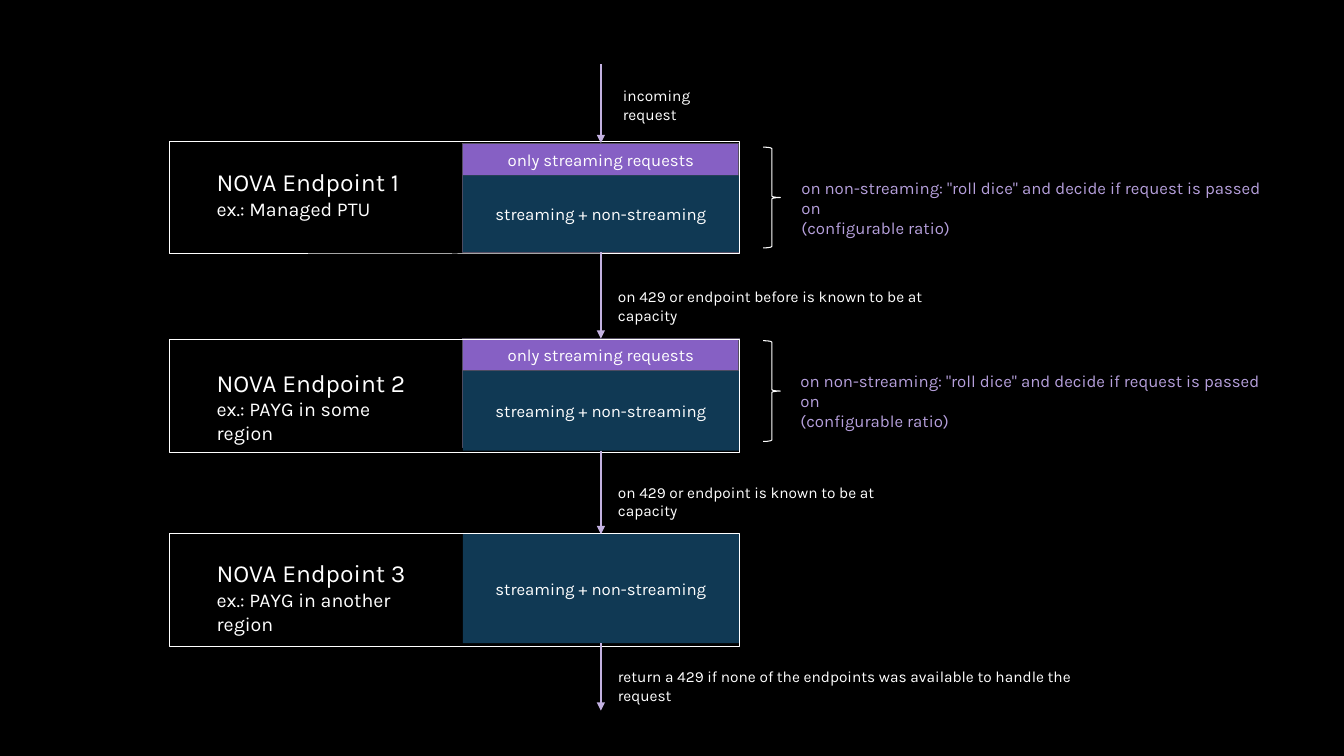
from pptx import Presentation
from pptx.dml.color import RGBColor
from pptx.enum.shapes import MSO_CONNECTOR, MSO_SHAPE
from pptx.enum.text import MSO_ANCHOR, MSO_AUTO_SIZE, PP_ALIGN
from pptx.oxml.ns import qn
from pptx.util import Inches, Pt
from lxml import etree

RECTANGLE = MSO_SHAPE.RECTANGLE
BRACE = MSO_SHAPE.RIGHT_BRACE
STRAIGHT = MSO_CONNECTOR.STRAIGHT
MIDDLE = MSO_ANCHOR.MIDDLE
CENTER = PP_ALIGN.CENTER
GROW = MSO_AUTO_SIZE.SHAPE_TO_FIT_TEXT
TOP, BOTTOM = 0, 2

FONT = "Karla"
BLACK, WHITE = "000000", "FFFFFF"
PURPLE, BLUE, EDGE = "8660C4", "103954", "554E63"
LILAC, ARROW = "B6A0DC", "C3B1E1"

BAND_LEFT, BAND_WIDTH, BAND_HEIGHT = 4.59, 2.74, 1.08
STREAMING_HEIGHT = 0.32
FLOW_X = BAND_LEFT + BAND_WIDTH / 2
DICE_LINES = [
    ('on non-streaming: "roll dice" and decide if request is passed on', 12),
    ("(configurable ratio)", 12),
]


def rgb(value):
    return RGBColor.from_string(value)


def style_paragraph(paragraph, text, size, color):
    paragraph.text = text
    paragraph.font.name = FONT
    paragraph.font.size = Pt(size)
    paragraph.font.color.rgb = rgb(color)


def add_box(slide, kind, left, top, width, height, fill=None, line=None, weight=0.75, text=None):
    box = slide.shapes.add_shape(kind, Inches(left), Inches(top), Inches(width), Inches(height))
    box.shadow.inherit = False
    if fill:
        box.fill.solid()
        box.fill.fore_color.rgb = rgb(fill)
    else:
        box.fill.background()
    if line:
        box.line.color.rgb = rgb(line)
        box.line.width = Pt(weight)
    else:
        box.line.fill.background()
    if text:
        box.text_frame.word_wrap = True
        box.text_frame.vertical_anchor = MIDDLE
        label = box.text_frame.paragraphs[0]
        label.alignment = CENTER
        style_paragraph(label, text, 12, WHITE)
    return box


def add_text(slide, left, top, width, height, lines, color=WHITE):
    note = slide.shapes.add_textbox(Inches(left), Inches(top), Inches(width), Inches(height))
    frame = note.text_frame
    frame.word_wrap = True
    frame.auto_size = GROW
    for index, (text, size) in enumerate(lines):
        paragraph = frame.add_paragraph() if index else frame.paragraphs[0]
        style_paragraph(paragraph, text, size, color)


def add_arrow(slide, start_y, end_y, source=None, target=None):
    arrow = slide.shapes.add_connector(
        STRAIGHT, Inches(FLOW_X), Inches(start_y), Inches(FLOW_X), Inches(end_y))
    if source:
        arrow.begin_connect(source, BOTTOM)
    if target:
        arrow.end_connect(target, TOP)
    arrow.line.color.rgb = rgb(ARROW)
    arrow.line.width = Pt(0.85)
    etree.SubElement(arrow.line._get_or_add_ln(), qn("a:tailEnd"), type="triangle")
    etree.SubElement(arrow._element.spPr, qn("a:effectLst"))


def add_bands(slide, top, mixed_height, backing):
    mixed_top = top
    streaming = None
    if backing:
        add_box(slide, RECTANGLE, BAND_LEFT, top, BAND_WIDTH, BAND_HEIGHT, backing, EDGE, 0.85)
        streaming = add_box(slide, RECTANGLE, BAND_LEFT, top, BAND_WIDTH, STREAMING_HEIGHT,
                            PURPLE, EDGE, 0.85, "only streaming requests")
        mixed_top += STREAMING_HEIGHT
    mixed = add_box(slide, RECTANGLE, BAND_LEFT, mixed_top, BAND_WIDTH, mixed_height,
                    BLUE, text="streaming + non-streaming")
    return streaming or mixed, mixed


def add_dice_note(slide, brace_top, text_left, text_top):
    add_box(slide, BRACE, 7.57, brace_top, 0.17, 1, line=WHITE)
    add_text(slide, text_left, text_top, 4.9, 0.5, DICE_LINES, LILAC)


def main():
    prs = Presentation()
    prs.slide_width, prs.slide_height = Inches(13.33), Inches(7.5)
    slide = prs.slides.add_slide(prs.slide_layouts[6])
    slide.background.fill.solid()
    slide.background.fill.fore_color.rgb = rgb(BLACK)

    endpoints = [
        (1.4, 1.42, 0.76, BLACK, 1.61, 2.03, "Managed PTU"),
        (3.37, 3.36, 0.79, PURPLE, 3.6, 2.32, "PAYG in some region"),
        (5.29, 5.3, BAND_HEIGHT, None, 5.49, 2.49, "PAYG in another region"),
    ]
    previous, arrow_start = None, 0.64
    for number, endpoint in enumerate(endpoints, 1):
        frame_top, band_top, mixed_height, backing, name_top, name_width, example = endpoint
        first, last = add_bands(slide, band_top, mixed_height, backing)
        add_box(slide, RECTANGLE, 1.68, frame_top, 5.66, 1.12, line=WHITE)
        add_text(slide, 2.05, name_top, name_width, 0.63,
                 [(f"NOVA Endpoint {number}", 17.6), (f"ex.: {example}", 14)])
        add_arrow(slide, arrow_start, band_top, previous, first)
        previous, arrow_start = last, band_top + BAND_HEIGHT
    add_arrow(slide, arrow_start, 7.05, previous)

    flow_notes = [
        (6.08, 0.81, 1.36, "incoming request"),
        (6.03, 2.8, 3.82, "on 429 or endpoint before is known to be at capacity"),
        (6.03, 4.74, 3.33, "on 429 or endpoint is known to be at capacity"),
        (6.03, 6.57, 5.16,
         "return a 429 if none of the endpoints was available to handle the request"),
    ]
    for left, top, width, text in flow_notes:
        add_text(slide, left, top, width, 0.29, [(text, 11)])

    add_dice_note(slide, 1.46, 7.85, 1.71)
    add_dice_note(slide, 3.38, 7.84, 3.63)
    prs.save("out.pptx")


if __name__ == "__main__":
    main()
